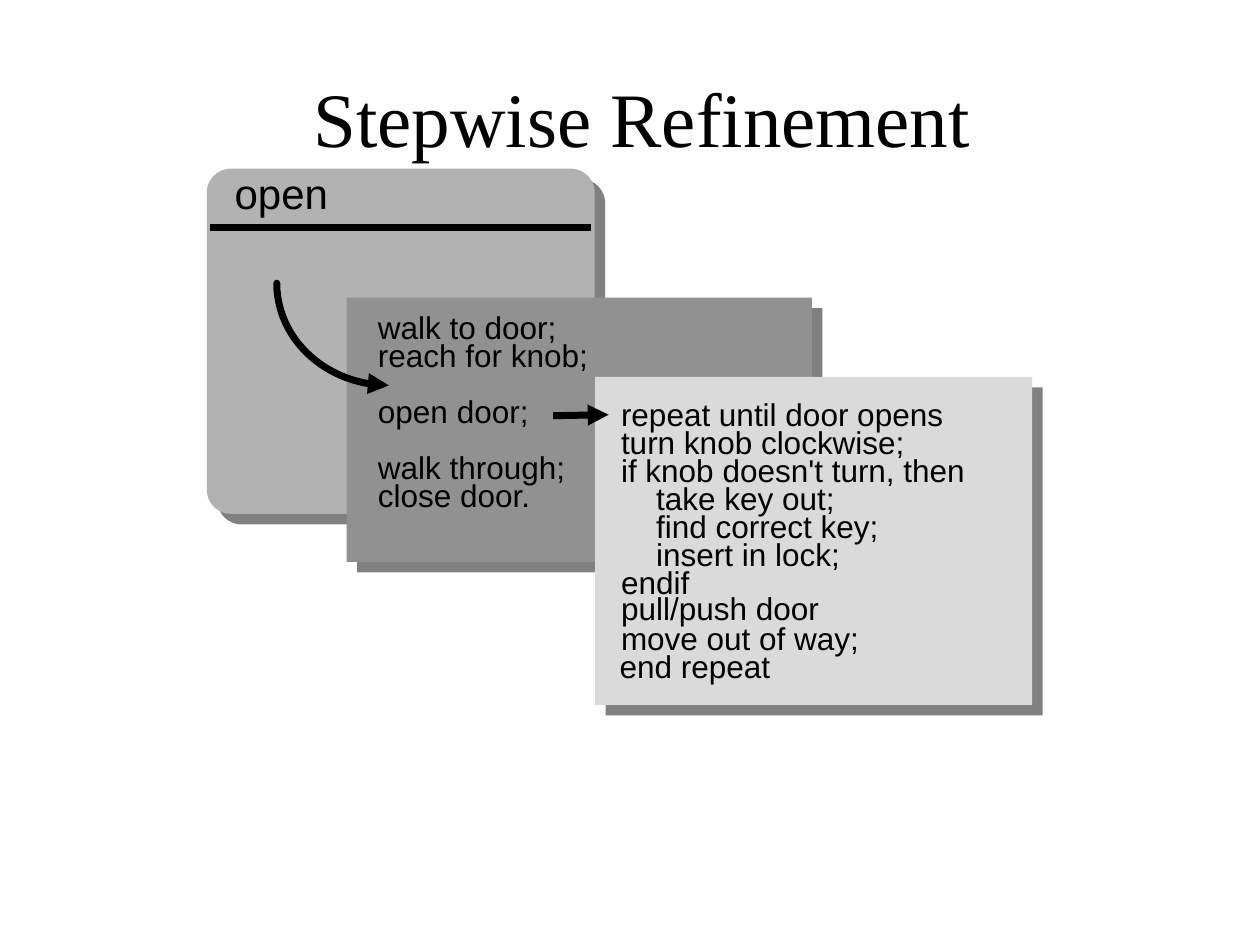
from dataclasses import dataclass
from math import cos, pi, sin

from pptx import Presentation
from pptx.dml.color import RGBColor
from pptx.enum.shapes import MSO_CONNECTOR as Link, MSO_SHAPE as Kind
from pptx.enum.text import PP_ALIGN as Align
from pptx.oxml import parse_xml
from pptx.oxml.ns import nsdecls
from pptx.oxml.xmlchemy import OxmlElement as Tag
from pptx.util import Cm, Pt

BLACK = "000000"
PITCH = Pt(16).cm
DENT = 0.71


@dataclass
class Panel:
    kind: Kind
    left: float
    top: float
    width: float
    height: float
    fill: str


@dataclass
class Line:
    text: str
    row: int
    width: float
    dent: float = 0


def paint(color, code: str) -> None:
    color.rgb = RGBColor.from_string(code)


def draw_panel(shapes, panel: Panel):
    box = shapes.add_shape(panel.kind, Cm(panel.left), Cm(panel.top),
                           Cm(panel.width), Cm(panel.height))
    box.fill.solid()
    paint(box.fill.fore_color, panel.fill)
    box.line.fill.background()
    box._element.spPr.append(parse_xml(
        f'<a:effectLst {nsdecls("a")}>'
        f'<a:outerShdw dist="{Pt(8.5)}" dir="2700000" algn="ctr" rotWithShape="0">'
        '<a:srgbClr val="808080"/></a:outerShdw></a:effectLst>'))
    return box


def draw_text(shapes, text: str, left: float, top: float, width: float,
              height: float = 1.7, size: float = 18, font: str = "Arial",
              dent: float = 0):
    frame = shapes.add_textbox(Cm(left), Cm(top), Cm(width), Cm(height)).text_frame
    frame.word_wrap = True
    frame.text = text
    for para in frame.paragraphs:
        if dent:
            para._p.get_or_add_pPr().set("marL", str(Cm(dent)))
        for run in para.runs:
            run.font.size = Pt(size)
            run.font.name = font
            paint(run.font.color, BLACK)
    return frame


def draw_lines(shapes, lines: list[Line], left: float, top: float) -> None:
    for line in lines:
        draw_text(shapes, line.text, left, top + line.row * PITCH, line.width,
                  dent=line.dent)


def ink(shape, arrow: bool) -> None:
    """Give a stroke its black line, and an arrowhead if asked."""
    shape.line.width = Pt(4)
    paint(shape.line.color, BLACK)
    if arrow:
        tip = Tag("a:tailEnd")
        tip.set("type", "triangle")
        shape.line._get_or_add_ln().append(tip)


def draw_stroke(shapes, x1: float, y1: float, x2: float, y2: float,
                arrow: bool = False) -> None:
    link = shapes.add_connector(Link.STRAIGHT, Cm(x1), Cm(y1), Cm(x2), Cm(y2))
    ink(link, arrow)
    link._element.spPr.append(Tag("a:effectLst"))


def draw_curve(shapes, x: float, y: float, wide: float, high: float,
               steps: int = 24) -> None:
    """Draw a quarter ellipse around (x, y), from its left end to its bottom."""
    turns = [pi / 2 * i / steps for i in range(steps + 1)]
    dots = [(Cm(x - wide * cos(t)), Cm(y + high * sin(t))) for t in turns]
    pen = shapes.build_freeform(*dots[0])
    pen.add_line_segments(dots[1:], close=False)
    curve = pen.convert_to_shape()
    curve.fill.background()
    ink(curve, arrow=True)
    curve.line._get_or_add_ln().set("cap", "rnd")
    curve.shadow.inherit = False


WALK = [
    Line("walk to door;", 0, 4.3),
    Line("reach for knob;", 1, 4.95),
    Line("open door;", 3, 3.75),
    Line("walk through;", 5, 4.5),
    Line("close door.", 6, 3.8),
]
TURN = [
    Line("repeat until door opens", 0, 7.2),
    Line("turn knob clockwise;", 1, 6.4),
    Line("if knob doesn't turn, then", 2, 7.65),
    Line("take key out;", 3, 5, DENT),
    Line("find correct key;", 4, 5.9, DENT),
    Line("insert in lock;", 5, 5.15, DENT),
    Line("endif", 6, 2.1),
]


def main() -> None:
    deck = Presentation()
    deck.slide_width, deck.slide_height = Cm(25.4), Cm(19.05)
    shapes = deck.slides.add_slide(deck.slide_layouts[6]).shapes

    title = draw_text(shapes, "Stepwise Refinement", 6.05, 1.35, 13.79, 2.01,
                      44, "Times New Roman")
    title.margin_left = title.margin_right = Cm(0.18)
    title.margin_top = title.margin_bottom = Cm(0.08)
    title.paragraphs[0].alignment = Align.CENTER

    card = draw_panel(shapes, Panel(Kind.ROUNDED_RECTANGLE, 4.17, 3.4, 7.82, 6.96,
                                    "B2B2B2"))
    card.adjustments[0] = 0.07
    draw_stroke(shapes, 4.24, 4.59, 11.92, 4.59)
    draw_text(shapes, "open", 4.48, 3.25, 2.6, 1.27, 24)

    draw_panel(shapes, Panel(Kind.RECTANGLE, 6.99, 6, 9.38, 5.33, "919191"))
    draw_lines(shapes, WALK, 7.37, 6.08)

    draw_panel(shapes, Panel(Kind.RECTANGLE, 12, 7.6, 8.81, 6.61, "DADADA"))
    draw_lines(shapes, TURN, 12.27, 7.83)
    push = draw_text(shapes, "pull/push door\nmove out of way;", 12.27, 11.9, 5.5,
                     2.16)
    for para in push.paragraphs:
        para.line_spacing = 0.8
    draw_text(shapes, "end repeat", 12.24, 12.91, 3.75, 1.02)

    draw_stroke(shapes, 11.15, 8.38, 12.27, 8.36, arrow=True)
    draw_curve(shapes, 7.84, 5.71, 2.26, 2.06)

    deck.save("out.pptx")


if __name__ == "__main__":
    main()
